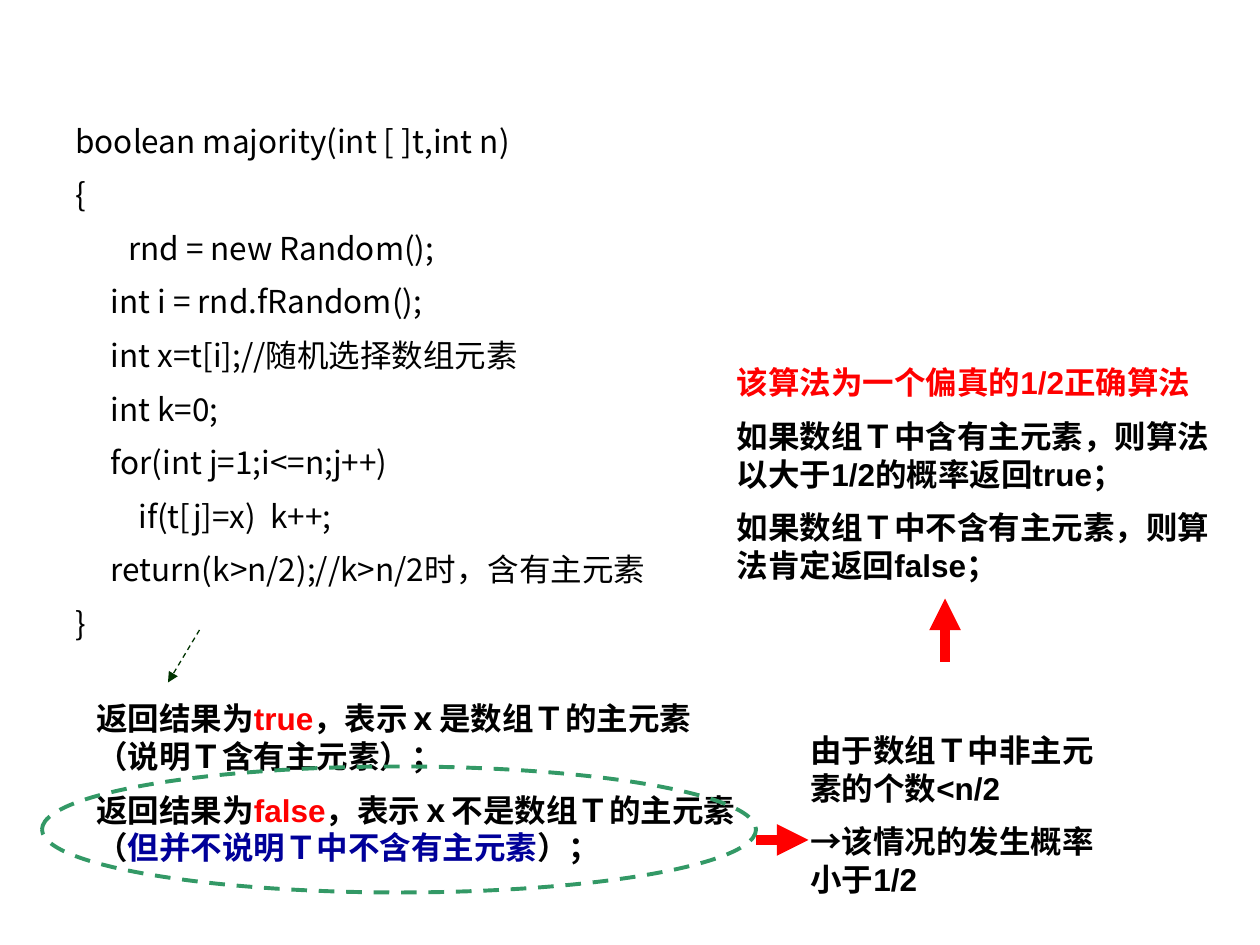
from dataclasses import dataclass
from lxml import etree
from pptx import Presentation
from pptx.dml.color import RGBColor
from pptx.enum.dml import MSO_LINE
from pptx.enum.shapes import MSO_CONNECTOR, MSO_SHAPE
from pptx.enum.text import MSO_AUTO_SIZE
from pptx.oxml.ns import qn
from pptx.util import Inches, Pt

DASH = MSO_LINE.DASH
LINE = MSO_CONNECTOR.STRAIGHT
OVAL = MSO_SHAPE.OVAL
FIT = MSO_AUTO_SIZE.SHAPE_TO_FIT_TEXT


@dataclass(frozen=True)
class Theme:
    """Colours, fonts and sizes of the slide."""
    ink: str = "000000"
    red: str = "FF0000"
    blue: str = "000099"
    green: str = "339966"
    dark: str = "003300"
    sans: str = "Arial"
    han: str = "Noto Sans CJK SC"
    size: int = 18
    gap: int = 9


class Deck:
    """Draws on one slide with a grid of twelve cells to the inch."""

    def __init__(self, theme):
        """Open a blank slide of 120 by 90 cells."""
        self.theme = theme
        self.file = Presentation()
        self.file.slide_width, self.file.slide_height = self.cells(120, 90)
        self.slide = self.file.slides.add_slide(self.file.slide_layouts[6])

    def cells(self, *spans):
        """Turn grid cells into lengths."""
        return [Inches(span / 12) for span in spans]

    def text(self, box, paras, face, bold=False):
        """Add a text box; each paragraph is a list of (text, colour) runs."""
        frame = self.slide.shapes.add_textbox(*self.cells(*box)).text_frame
        frame.word_wrap = True
        frame.auto_size = FIT
        for i, runs in enumerate(paras):
            para = frame.add_paragraph() if i else frame.paragraphs[0]
            if i:
                para.space_before = Pt(self.theme.gap)
            font = para.font
            font.name, font.size, font.bold = face, Pt(self.theme.size), bold
            base = para._p.pPr.find(qn("a:defRPr"))
            etree.SubElement(base, qn("a:ea"), typeface=self.theme.han)
            for words, hue in runs:
                run = para.add_run()
                run.text = words
                run.font.color.rgb = RGBColor.from_string(hue)

    def style(self, line, hue, width, dash=None):
        """Set the colour, width and dash of a line."""
        line.color.rgb = RGBColor.from_string(hue)
        line.width = Pt(width)
        if dash:
            line.dash_style = dash

    def arrow(self, ends, hue, width, dash=None):
        """Add a straight arrow between two grid points."""
        link = self.slide.shapes.add_connector(LINE, *self.cells(*ends))
        self.style(link.line, hue, width, dash)
        etree.SubElement(link.line._get_or_add_ln(), qn("a:tailEnd"), type="triangle")
        etree.SubElement(link._element.spPr, qn("a:effectLst"))

    def ring(self, box, hue, width):
        """Add a dashed oval outline."""
        oval = self.slide.shapes.add_shape(OVAL, *self.cells(*box))
        oval.shadow.inherit = False
        oval.fill.background()
        self.style(oval.line, hue, width, DASH)


CODE = """boolean majority(int [ ]t,int n)
{
   \u3000rnd = new Random();
     int i = rnd.fRandom();
     int x=t[i];//随机选择数组元素
     int k=0;
     for(int j=1;i<=n;j++)
\tif(t[j]=x)  k++;
     return(k>n/2);//k>n/2时，含有主元素
}""".replace("\\u3000", "　")


def main():
    """Build the slide and save it."""
    theme = Theme()
    deck = Deck(theme)
    ink, red = theme.ink, theme.red
    deck.text((6, 11, 93, 53.5), [[(row, ink)] for row in CODE.split("\n")], theme.han)
    deck.arrow((19, 60, 16, 65), theme.dark, 0.75, DASH)
    deck.text((8, 66, 64, 17.4), [
        [("返回结果为", ink), ("true", red),
         ("，表示ｘ是数组Ｔ的主元素（说明Ｔ含有主元素）；", ink)],
        [("返回结果为", ink), ("false", red), ("，表示ｘ不是数组Ｔ的主元素（", ink),
         ("但并不说明Ｔ中不含有主元素", theme.blue), ("）；", ink)],
    ], theme.sans, True)
    deck.arrow((72, 80, 77, 80), red, 6)
    deck.text((76, 69, 31, 17.4), [
        [("由于数组Ｔ中非主元素的个数<n/2", ink)],
        [("→该情况的发生概率小于1/2", ink)],
    ], theme.sans, True)
    deck.ring((4, 73, 68, 12), theme.green, 2.25)
    deck.arrow((90, 63, 90, 57), red, 6)
    deck.text((69, 34, 48, 22.8), [
        [("该算法为一个偏真的1/2正确算法", red)],
        [("如果数组Ｔ中含有主元素，则算法以大于1/2的概率返回true；", ink)],
        [("如果数组Ｔ中不含有主元素，则算法肯定返回false；", ink)],
    ], theme.sans, True)
    deck.file.save("out.pptx")


if __name__ == "__main__":
    main()
